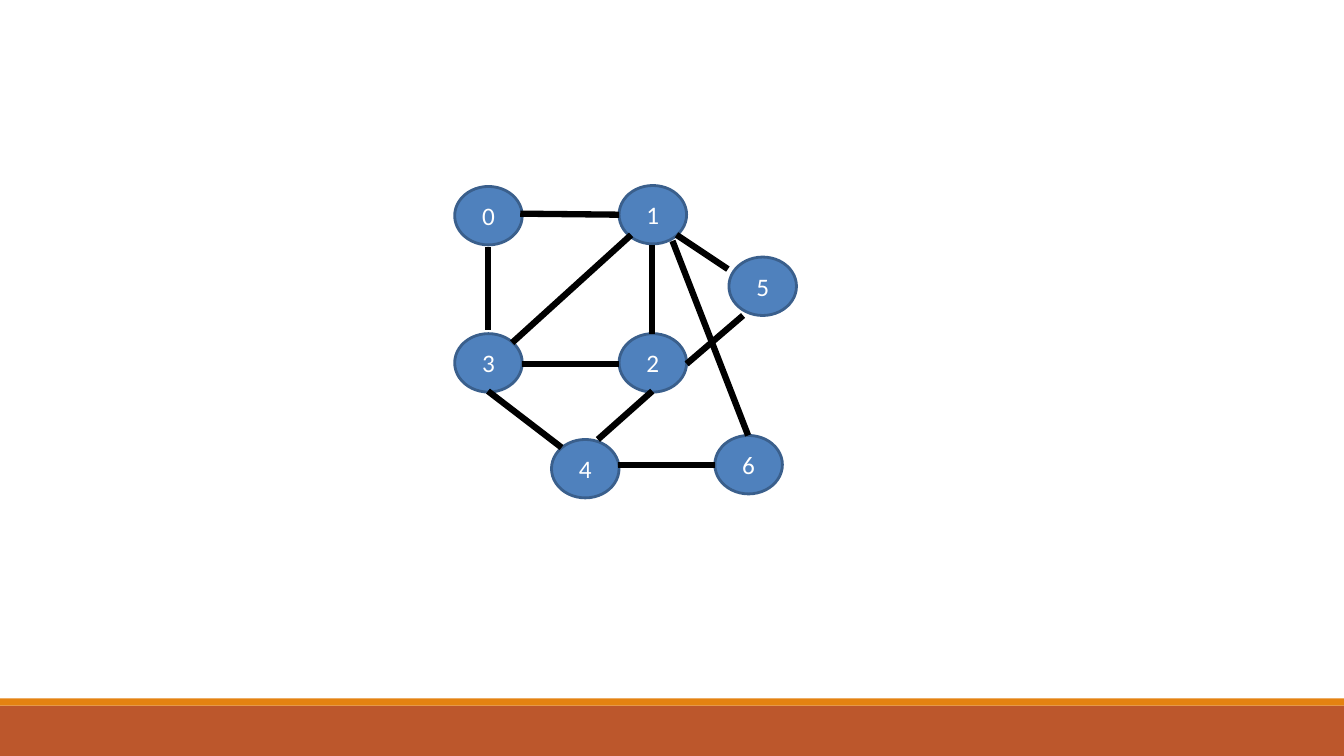
from lxml import etree
from pptx import Presentation
from pptx.dml.color import RGBColor
from pptx.enum.shapes import MSO_CONNECTOR, MSO_SHAPE
from pptx.enum.text import MSO_ANCHOR, PP_ALIGN
from pptx.oxml.ns import qn
from pptx.util import Emu, Pt

RECTANGLE, OVAL = MSO_SHAPE.RECTANGLE, MSO_SHAPE.OVAL
STRAIGHT = MSO_CONNECTOR.STRAIGHT
MIDDLE, CENTER = MSO_ANCHOR.MIDDLE, PP_ALIGN.CENTER
EMU_PER_PX = 9144  # 100 px to the inch
SLIDE_WIDTH, SLIDE_HEIGHT = 1333, 750
NODE_WIDTH, NODE_HEIGHT = 67, 58


def px(length):
    return Emu(length * EMU_PER_PX)


def color(hex_string):
    return RGBColor.from_string(hex_string)


def write_text(shape, text, *, font, size, fill, align=CENTER, anchor=MIDDLE):
    frame = shape.text_frame
    frame.word_wrap = True
    frame.vertical_anchor = anchor
    paragraph = frame.paragraphs[0]
    paragraph.alignment = align
    run = paragraph.add_run()
    run.text = text
    run.font.name = font
    run.font.size = Pt(size)
    run.font.color.rgb = color(fill)


class GraphSlide:
    font = "Calibri"
    text_size = 18
    text_color = "FFFFFF"
    node_fill, node_outline = "4F81BD", "3A5F8C"
    edge_color = "000000"

    def __init__(self, presentation):
        blank_layout = presentation.slide_layouts[6]
        self.slide = presentation.slides.add_slide(blank_layout)

    def add_shape(self, kind, left, top, width, height, fill):
        shape = self.slide.shapes.add_shape(
            kind, px(left), px(top), px(width), px(height))
        shape.shadow.inherit = False
        shape.fill.solid()
        shape.fill.fore_color.rgb = color(fill)
        return shape

    def band(self, top, height, fill):
        shape = self.add_shape(RECTANGLE, 0, top, SLIDE_WIDTH, height, fill)
        shape.line.fill.background()

    def node(self, label, left, top):
        shape = self.add_shape(
            OVAL, left, top, NODE_WIDTH, NODE_HEIGHT, self.node_fill)
        shape.line.color.rgb = color(self.node_outline)
        shape.line.width = Pt(2)
        write_text(shape, label, font=self.font, size=self.text_size,
                   fill=self.text_color)

    def edge(self, start, end):
        connector = self.slide.shapes.add_connector(
            STRAIGHT, *map(px, start + end))
        connector.line.color.rgb = color(self.edge_color)
        connector.line.width = Pt(4.5)
        properties = connector._element.spPr
        etree.SubElement(properties, qn("a:effectLst"))


# Each group is drawn as nodes first, then the edges over them
UPPER_NODES = {"0": (451, 185), "3": (451, 331), "5": (723, 255),
               "1": (614, 184), "2": (614, 331)}
UPPER_EDGES = [
    ((722, 267), (671, 233)),  # 5 to 1
    ((518, 361), (614, 361)),  # 3 to 2
    ((737, 313), (681, 361)),  # 5 to 2
    ((484, 327), (484, 245)),  # 3 to 0
    ((516, 212), (614, 213)),  # 0 to 1
    ((647, 331), (647, 243)),  # 2 to 1
    ((508, 340), (626, 233)),  # 3 to 1
]
LOWER_NODES = {"4": (547, 436), "6": (709, 432)}
LOWER_EDGES = [
    ((557, 444), (484, 388)),  # 4 to 3
    ((593, 436), (647, 388)),  # 4 to 2
    ((742, 432), (667, 239)),  # 6 to 1
    ((709, 461), (613, 461)),  # 6 to 4
]


def main():
    presentation = Presentation()
    presentation.slide_width = px(SLIDE_WIDTH)
    presentation.slide_height = px(SLIDE_HEIGHT)
    graph = GraphSlide(presentation)

    # Footer bands
    graph.band(700, 50, "BC572C")
    graph.band(693, 7, "E48211")

    # Graph
    for nodes, edges in ((UPPER_NODES, UPPER_EDGES),
                         (LOWER_NODES, LOWER_EDGES)):
        for label, (left, top) in nodes.items():
            graph.node(label, left, top)
        for start, end in edges:
            graph.edge(start, end)

    presentation.save("out.pptx")


if __name__ == "__main__":
    main()
